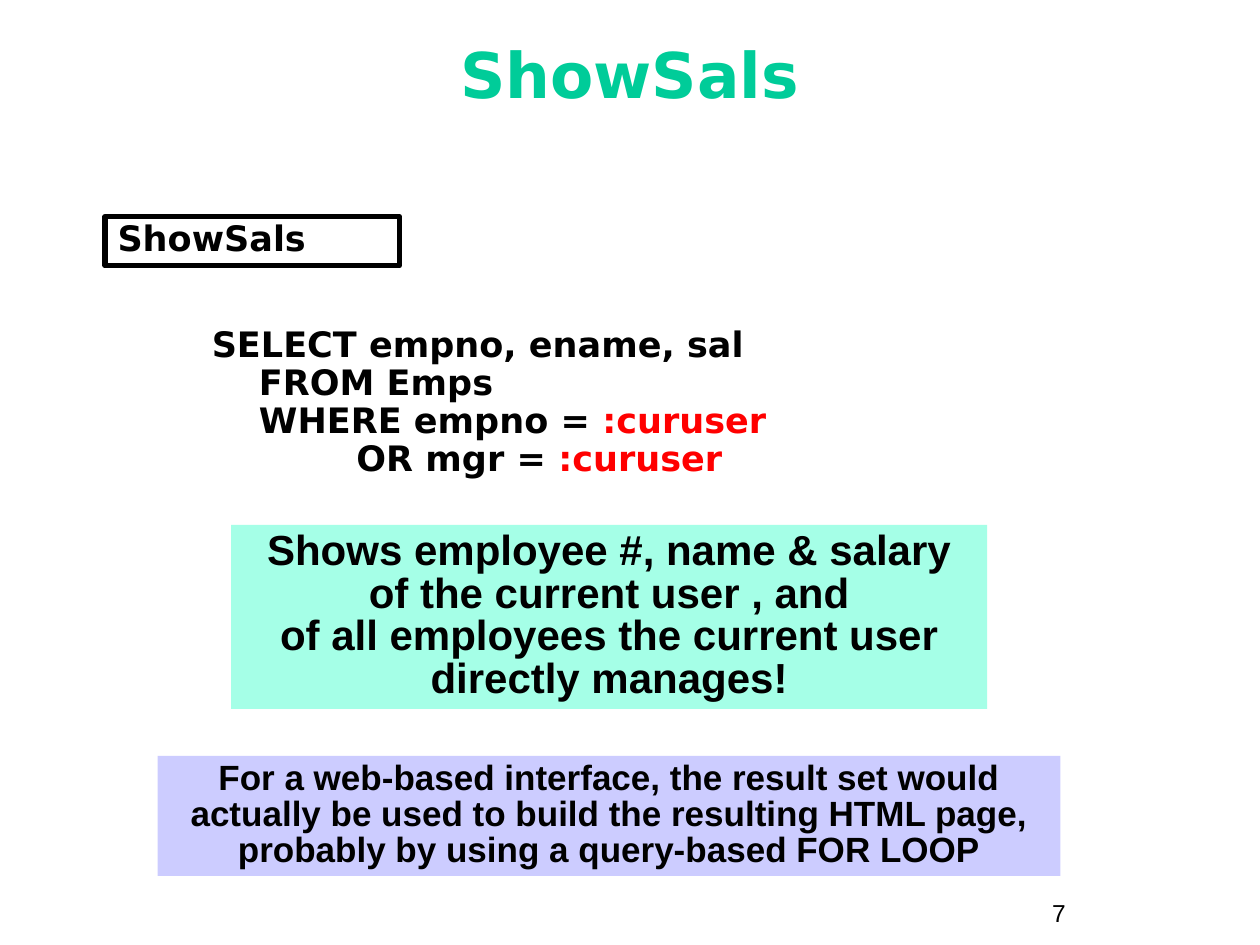
from pptx import Presentation
from pptx.dml.color import RGBColor
from pptx.enum.shapes import MSO_SHAPE
from pptx.enum.text import MSO_ANCHOR, PP_ALIGN
from pptx.util import Cm, Pt

BLACK = RGBColor(0x00, 0x00, 0x00)
GREEN = RGBColor(0x00, 0xCC, 0x99)
RED = RGBColor(0xFF, 0x00, 0x00)
MINT = RGBColor(0xA5, 0xFF, 0xE7)
LAVENDER = RGBColor(0xCC, 0xCC, 0xFF)

SANS = "DejaVu Sans"
ARIAL = "Arial"

QUERY = [
    ("SELECT empno, ename, sal\nFROM Emps\nWHERE empno = ", BLACK),
    (":curuser\n", RED),
    ("        OR mgr = ", BLACK),
    (":curuser", RED),
]
PURPOSE = ("Shows employee #, name & salary\nof the current user , and\n"
           "of all employees the current user directly manages!")
WEB_NOTE = ("For a web-based interface, the result set would actually be used "
            "to build the resulting HTML page, probably by using a "
            "query-based FOR LOOP")


def write(p, text, *, size=20, font=ARIAL, color=BLACK, bold=True,
          align=PP_ALIGN.LEFT, spacing=None):
    """Append text to the paragraph; each newline becomes a line break."""
    p.alignment = align
    p.space_before = Pt(0)
    if spacing:
        p.line_spacing = spacing
    for i, line in enumerate(text.split("\n")):
        if i:
            p.add_line_break()
        if line:
            r = p.add_run()
            r.text = line
            r.font.size = Pt(size)
            r.font.name = font
            r.font.bold = bold
            r.font.color.rgb = color


def add_title(slide, text):
    title = slide.shapes.title
    title.left, title.top = Cm(0.84), Cm(0.43)
    title.width, title.height = Cm(23.7), Cm(2.11)
    tf = title.text_frame
    tf.vertical_anchor = MSO_ANCHOR.MIDDLE
    write(tf.paragraphs[0], text, size=36, font=SANS, color=GREEN,
          align=PP_ALIGN.CENTER)


def add_text_box(slide, left, top, width, height):
    """Add a wrapping text box and return its first paragraph."""
    box = slide.shapes.add_textbox(Cm(left), Cm(top), Cm(width), Cm(height))
    box.text_frame.word_wrap = True
    return box.text_frame.paragraphs[0]


def add_query(slide):
    p = add_text_box(slide, 4.02, 6.48, 17.78, 3.6)
    pPr = p._p.get_or_add_pPr()
    pPr.set("marL", str(Cm(0.95)))
    pPr.set("indent", str(-Cm(0.95)))
    for text, color in QUERY:
        write(p, text, font=SANS, color=color, spacing=0.9)


def add_panel(slide, left, top, width, height, text, fill=None, line=None,
              **text_format):
    sp = slide.shapes.add_shape(MSO_SHAPE.RECTANGLE, Cm(left), Cm(top),
                                Cm(width), Cm(height))
    sp.shadow.inherit = False
    if fill is None:
        sp.fill.background()
    else:
        sp.fill.solid()
        sp.fill.fore_color.rgb = fill
    if line is None:
        sp.line.fill.background()
    else:
        sp.line.color.rgb = line
        sp.line.width = Pt(3)
    tf = sp.text_frame
    tf.word_wrap = True
    tf.vertical_anchor = MSO_ANCHOR.TOP
    write(tf.paragraphs[0], text, spacing=0.85, **text_format)


def main():
    prs = Presentation()
    prs.slide_width, prs.slide_height = Cm(25.4), Cm(19.05)
    slide = prs.slides.add_slide(prs.slide_layouts[5])

    add_title(slide, "ShowSals")
    add_query(slide)
    add_panel(slide, 2.12, 4.37, 5.93, 0.99, "ShowSals", line=BLACK, font=SANS)
    add_panel(slide, 4.66, 10.58, 15.24, 3.71, PURPOSE, fill=MINT, size=24,
              align=PP_ALIGN.CENTER)
    add_panel(slide, 3.18, 15.24, 18.2, 2.42, WEB_NOTE, fill=LAVENDER,
              align=PP_ALIGN.CENTER)
    write(add_text_box(slide, 20.96, 17.98, 2.33, 0.86), "7", size=14,
          bold=False)

    prs.save("out.pptx")


if __name__ == "__main__":
    main()
